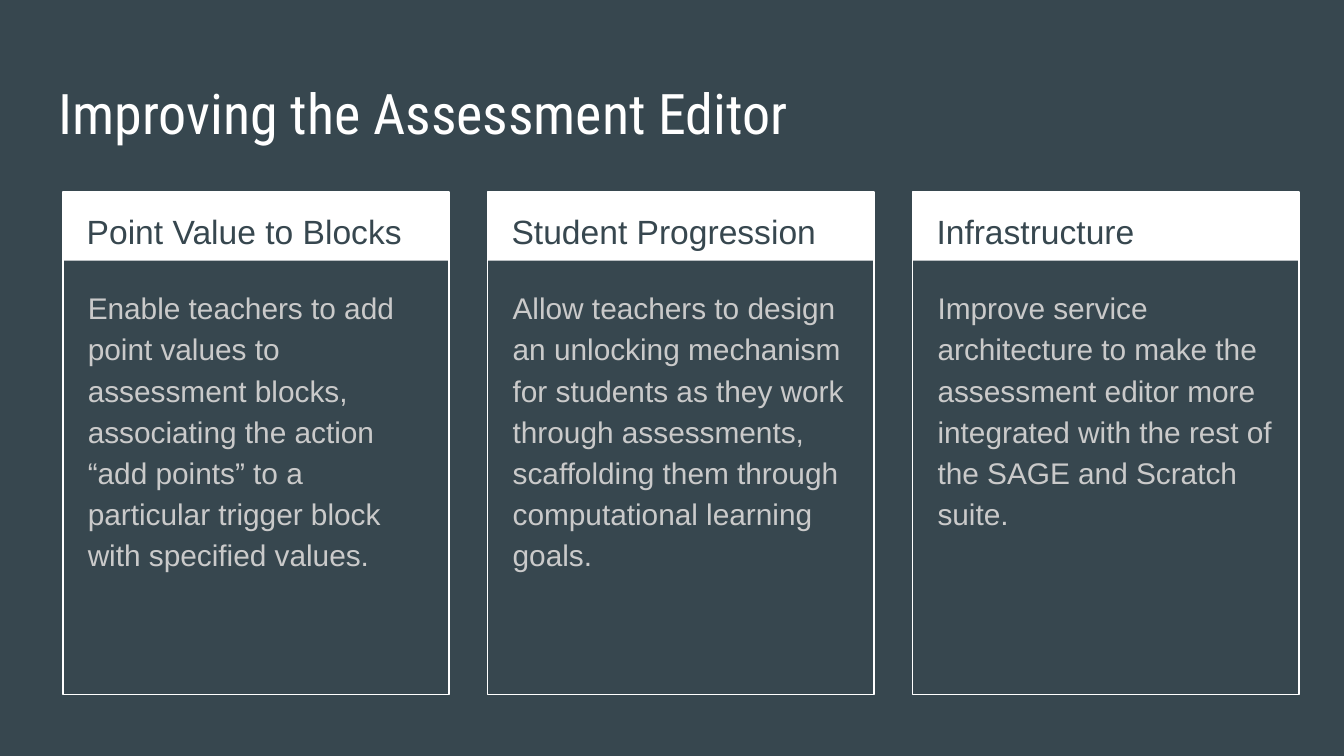
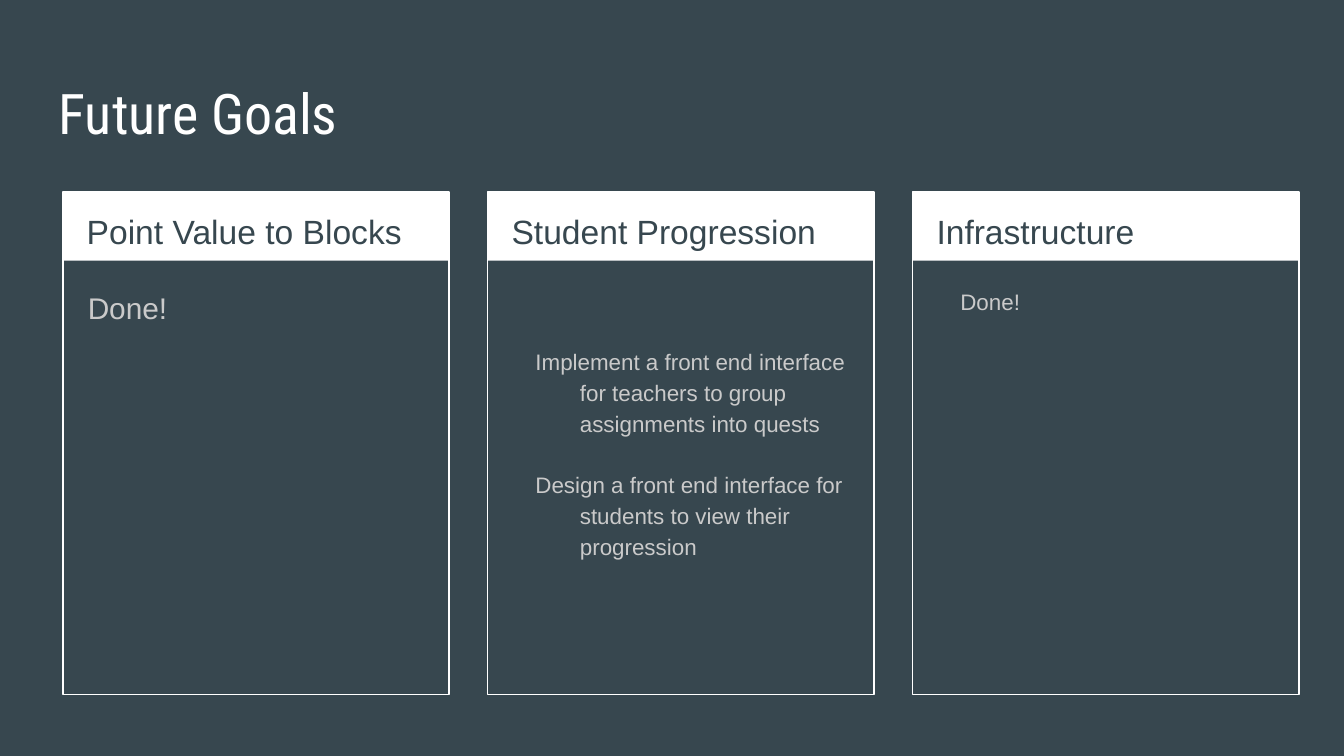
import pptx
import pptx.util
import pptx.dml.color
import pptx.enum.shapes

Cm, Pt = pptx.util.Cm, pptx.util.Pt
DARK, WHITE, GREY = "37474F", "FFFFFF", "CACACA"
HEADS = ["Point Value to Blocks", "Student Progression", "Infrastructure"]

# Each body: paragraphs, size, hanging indent, box height, top inset
SLIDES = [
    ("Improving the Assessment Editor", [
        (["Enable teachers to add point values to assessment blocks, associating "
          "the action “add points” to a particular trigger block with specified "
          "values."], 16, False, 7.77, 0.25),
        (["Allow teachers to design an unlocking mechanism for students as they "
          "work through assessments, scaffolding them through computational "
          "learning goals."], 16, False, 7.77, 0.25),
        (["Improve service architecture to make the assessment editor more "
          "integrated with the rest of the SAGE and Scratch suite."],
         16, False, 7.77, 0.25),
    ]),
    ("Future Goals", [
        (["Done!"], 16, False, 2.26, 0.25),
        (["Implement a front end interface for teachers to group assignments "
          "into quests",
          "Design a front end interface for students to view their progression"],
         12, True, 7.77, 1.38),
        (["Done!"], 12, True, 7.77, 0.25),
    ]),
]


def rgb(code):
    return pptx.dml.color.RGBColor.from_string(code)


def write(slide, place, lines, size, color, font="Arial", space=1.15,
          after=0, hang=False, inset=0.25):
    box = slide.shapes.add_textbox(*map(Cm, place))
    frame = box.text_frame
    frame.word_wrap = True
    frame.margin_left = frame.margin_right = frame.margin_bottom = Cm(0.25)
    frame.margin_top = Cm(inset)
    frame.text = "\n".join(lines)
    for para in frame.paragraphs:
        para.line_spacing = space
        para.space_after = Pt(after)
        if hang:
            props = para._p.get_or_add_pPr()
            props.set("marL", str(Cm(1.27)))
            props.set("indent", str(Cm(-0.84)))
        for run in para.runs:
            run.font.name = font
            run.font.size = Pt(size)
            run.font.color.rgb = rgb(color)


deck = pptx.Presentation()
deck.slide_width, deck.slide_height = Cm(25.4), Cm(14.29)

for title, bodies in SLIDES:
    slide = deck.slides.add_slide(deck.slide_layouts[6])
    slide.background.fill.solid()
    slide.background.fill.fore_color.rgb = rgb(DARK)
    write(slide, (0.86, 1.24, 23.67, 1.6), [title], 30, WHITE,
          font="Roboto Condensed", space=1.0)

    # Three equal columns
    for col, (head, body) in enumerate(zip(HEADS, bodies)):
        lines, size, hang, high, inset = body
        left = 1.19 + 8.03 * col

        # White band, then outlined card
        for tall, solid in ((1.3, True), (9.5, False)):
            card = slide.shapes.add_shape(
                pptx.enum.shapes.MSO_SHAPE.RECTANGLE,
                Cm(left), Cm(3.63), Cm(7.3), Cm(tall))
            card.shadow.inherit = False
            if solid:
                card.fill.solid()
                card.fill.fore_color.rgb = rgb(WHITE)
                card.line.fill.background()
            else:
                card.fill.background()
                card.line.color.rgb = rgb(WHITE)
                card.line.width = Pt(0.75)

        # Heading and body
        write(slide, (left + 0.2, 3.63, 6.93, 1.27), [head], 18, DARK)
        write(slide, (left + 0.22, 5.13, 6.88, high), lines, size, GREY,
              after=16, hang=hang, inset=inset)

deck.save("out.pptx")
